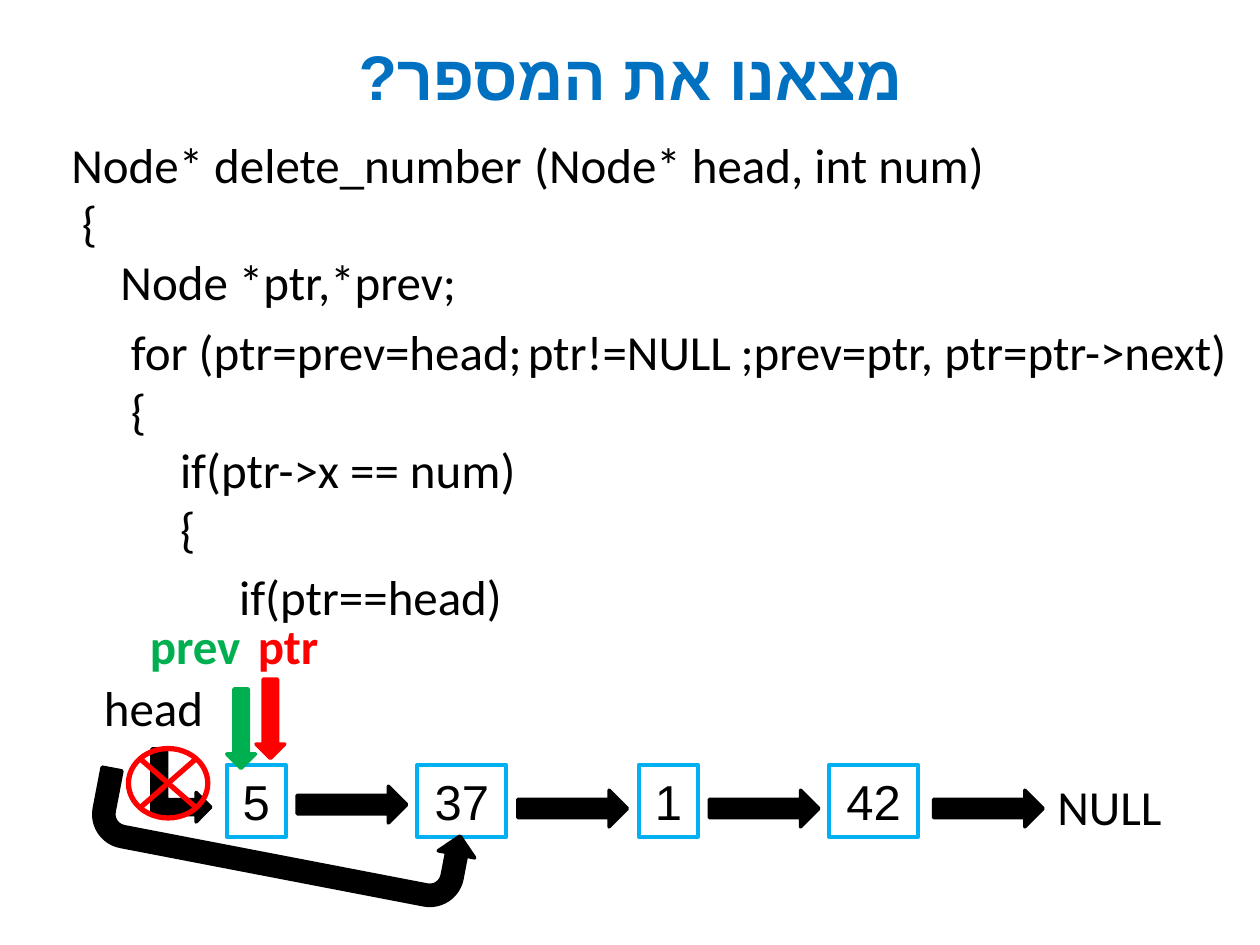
from lxml import etree
from pptx import Presentation
from pptx.dml.color import RGBColor
from pptx.enum.shapes import MSO_SHAPE
from pptx.enum.text import MSO_ANCHOR, PP_ALIGN
from pptx.oxml.ns import qn
from pptx.util import Cm, Pt

LEFT, CENTER = PP_ALIGN.LEFT, PP_ALIGN.CENTER
MIDDLE = MSO_ANCHOR.MIDDLE
RECTANGLE = MSO_SHAPE.RECTANGLE
RIGHT_ARROW = MSO_SHAPE.RIGHT_ARROW
BENT_ARROW = MSO_SHAPE.BENT_UP_ARROW
UTURN_ARROW = MSO_SHAPE.U_TURN_ARROW
CROSS_OUT = MSO_SHAPE.FLOWCHART_SUMMING_JUNCTION

BLACK = RGBColor(0x00, 0x00, 0x00)
BLUE = RGBColor(0x00, 0x70, 0xC0)
SKY = RGBColor(0x00, 0xB0, 0xF0)
GREEN = RGBColor(0x00, 0xB0, 0x50)
RED = RGBColor(0xFF, 0x00, 0x00)

TITLE = "מצאנו את המספר?"
LINE_HEIGHT = 1.45
NODE_TOP = 15.42

# Code pieces: text, left, top, width (cm)
CODE = [
    ("Node* delete_number", 1.19, 2.59, 9.7),
    ("(Node* head, int num)", 10.52, 2.59, 9.68),
    ("{", 1.4, 3.76, 1.19),
    ("Node *ptr,*prev;", 2.18, 4.95, 7.34),
    ("for (ptr=prev=head;", 2.39, 6.35, 8.53),
    (";prev=ptr, ptr=ptr->next)", 14.68, 6.35, 10.72),
    ("{", 2.39, 7.54, 1.19),
    ("if(ptr->x == num)\n{", 3.38, 8.74, 7.39),
    ("if(ptr==head)", 4.57, 11.3, 5.87),
]
# Centred labels: text, left, top, width
LABELS = [
    ("ptr!=NULL", 10.11, 6.35, 5.16),
    ("head", 1.42, 13.54, 3.35),
    ("NULL", 20.98, 15.52, 2.77),
]
# Pointers: name, colour, label left, label width, arrow left, arrow top
POINTERS = [
    ("prev", GREEN, 2.77, 2.59, 4.06, 14.4),
    ("ptr", RED, 4.95, 1.78, 4.65, 14.2),
]
# List nodes: value, left, width, left and top of the arrow to the next node
NODES = [
    ("5", 4.57, 1.19, 5.99, 15.85),
    ("37", 8.41, 1.8, 10.44, 15.93),
    ("1", 12.88, 1.19, 14.3, 15.93),
    ("42", 16.71, 1.8, 18.82, 15.93),
]


def write(frame, text, align=LEFT, color=BLACK, bold=False, font="Calibri", size=28):
    frame.text = text
    for paragraph in frame.paragraphs:
        paragraph.alignment = align
        for run in paragraph.runs:
            run.font.name = font
            run.font.size = Pt(size)
            run.font.bold = bold
            run.font.color.rgb = color


def add_text(slide, text, left, top, width, wrap=True, **style):
    height = LINE_HEIGHT + 1.19 * text.count("\n")
    box = slide.shapes.add_textbox(Cm(left), Cm(top), Cm(width), Cm(height))
    box.text_frame.word_wrap = wrap
    write(box.text_frame, text, **style)


def add_figure(slide, kind, left, top, width, height, line, weight=2, fill=None, rotation=0):
    figure = slide.shapes.add_shape(kind, Cm(left), Cm(top), Cm(width), Cm(height))
    figure.shadow.inherit = False
    figure.rotation = rotation
    figure.line.color.rgb = line
    figure.line.width = Pt(weight)
    if fill is None:
        figure.fill.background()
    else:
        figure.fill.solid()
        figure.fill.fore_color.rgb = fill
    return figure


def add_arrow(slide, kind, left, top, width, height, color=BLACK, rotation=0):
    return add_figure(slide, kind, left, top, width, height, color,
                      fill=color, rotation=rotation)


def add_title(slide):
    title = slide.shapes.title
    title.left, title.top, title.width, title.height = Cm(2.31), Cm(0.48), Cm(20.8), Cm(2.06)
    frame = title.text_frame
    frame.vertical_anchor = MIDDLE
    write(frame, TITLE, CENTER, BLUE, True, "Arial", 36)
    # Hebrew runs right to left and takes the complex-script font
    paragraph = frame.paragraphs[0]
    paragraph._p.get_or_add_pPr().set("rtl", "1")
    properties = paragraph.runs[0]._r.get_or_add_rPr()
    properties.set("lang", "he-IL")
    etree.SubElement(properties, qn("a:cs")).set("typeface", "Arial")


def main():
    deck = Presentation()
    deck.slide_width, deck.slide_height = Cm(25.4), Cm(19.05)
    slide = deck.slides.add_slide(deck.slide_layouts[5])
    add_title(slide)

    # Code and labels
    for text, left, top, width in CODE:
        add_text(slide, text, left, top, width, wrap=False)
    for text, left, top, width in LABELS:
        add_text(slide, text, left, top, width, align=CENTER)

    # Linked list
    for value, left, width, arrow_left, arrow_top in NODES:
        node = add_figure(slide, RECTANGLE, left, NODE_TOP, width, LINE_HEIGHT, SKY, 2.25)
        node.text_frame.vertical_anchor = MIDDLE
        node.text_frame.word_wrap = False
        write(node.text_frame, value, CENTER, font="Arial")
        add_arrow(slide, RIGHT_ARROW, arrow_left, arrow_top, 2.21, 0.74)

    # Old link from head
    add_arrow(slide, BENT_ARROW, 2.92, 15.24, 1.47, 1.19, rotation=90)

    # Pointers into the list
    for name, color, left, width, arrow_left, arrow_top in POINTERS:
        add_text(slide, name, left, 12.29, width, wrap=False, color=color, bold=True)
        add_arrow(slide, RIGHT_ARROW, arrow_left, arrow_top, 1.6, 0.58, color, 90)

    # New link that skips the first node, and the mark over the old one
    bypass = add_arrow(slide, UTURN_ARROW, 1.85, 16.18, 7.72, 1.5, rotation=190.9)
    bypass._element.spPr.xfrm.set("flipH", "1")
    for index, value in enumerate((0.27, 0.25, 0.25, 0.44, 1)):
        bypass.adjustments[index] = value
    add_figure(slide, CROSS_OUT, 2.59, 15.09, 1.6, 1.4, RED, 3)

    deck.save("out.pptx")


if __name__ == "__main__":
    main()
